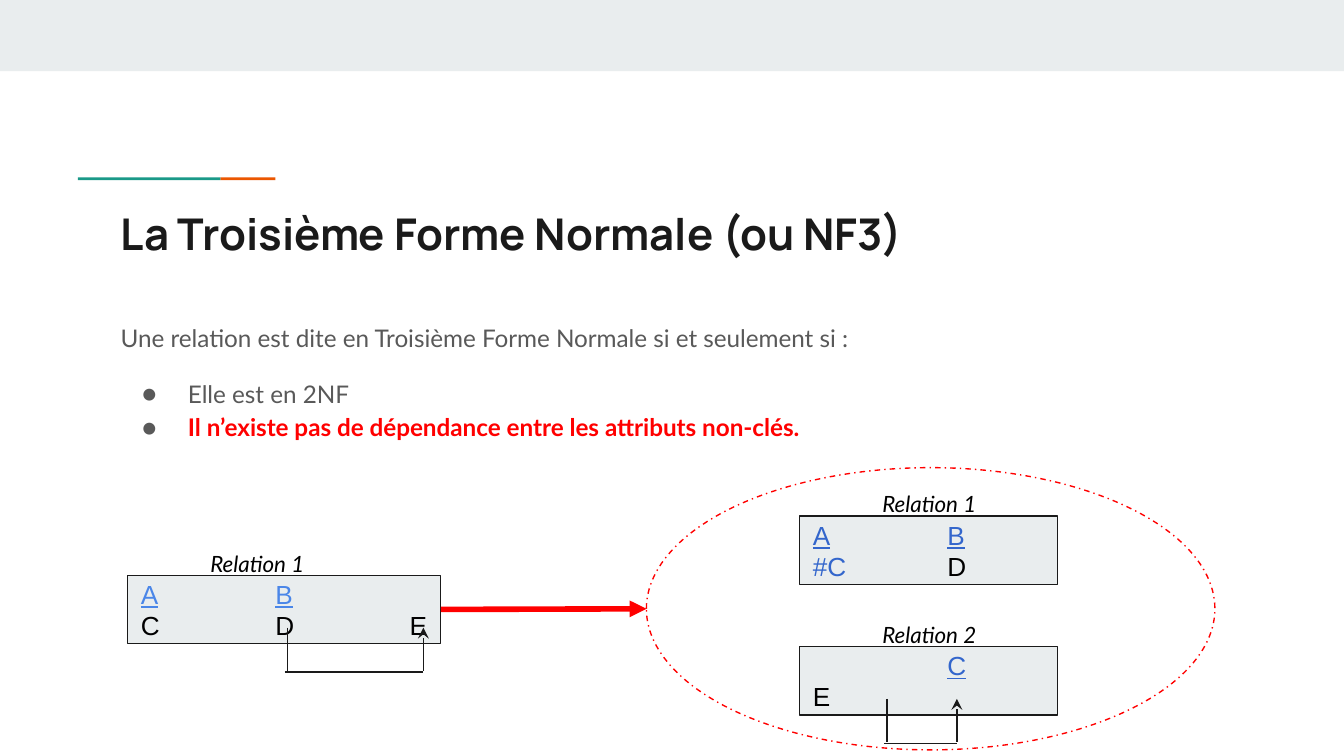
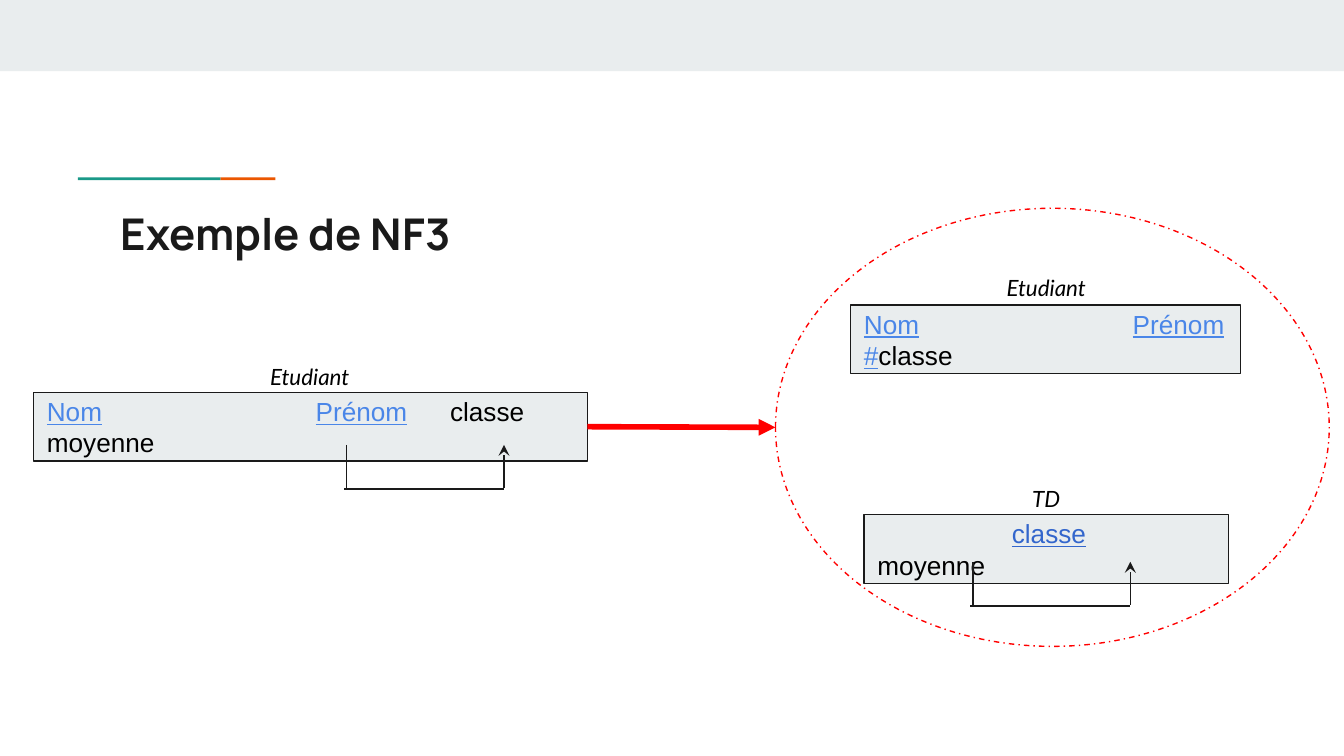
import pptx
import pptx.util
import pptx.dml.color
import pptx.enum.shapes
import pptx.enum.text
import pptx.enum.dml
from lxml import etree

Inches = pptx.util.Inches
SHAPE = pptx.enum.shapes.MSO_SHAPE
ALIGN = pptx.enum.text.PP_ALIGN
ANCHOR = pptx.enum.text.MSO_ANCHOR
A = "{http://schemas.openxmlformats.org/drawingml/2006/main}"

hues = {"band": "E9EDEE", "teal": "1A9988", "orange": "EB5600", "ink": "1A1A1A",
        "gray": "595959", "red": "FF0000", "black": "000000",
        "sky": "4A86E8", "blue": "3366CC"}
rgb = {name: pptx.dml.color.RGBColor.from_string(code) for name, code in hues.items()}

head = {"name": "Manrope", "size": 23.4, "bold": True}
body = {"name": "Lato", "size": 13}
strong = {**body, "bold": True}
label = {"name": "Lato", "size": 12, "italic": True}
plain = {"name": "Arial", "size": 14}
key = {**plain, "underline": True}


def write(shape, lines, align=ALIGN.LEFT, anchor=ANCHOR.TOP):
    frame = shape.text_frame
    format = {"word_wrap": True, "vertical_anchor": anchor}
    for side in ("left", "right", "top", "bottom"):
        format["margin_" + side] = Inches(0.1)
    for name, value in format.items():
        setattr(frame, name, value)
    for i, runs in enumerate(lines):
        para = frame.add_paragraph() if i else frame.paragraphs[0]
        para.alignment = align
        for words, hue, font in runs:
            run = para.add_run()
            run.text = words
            run.font.color.rgb = rgb[hue]
            for name, value in font.items():
                setattr(run.font, name, pptx.util.Pt(value) if name == "size" else value)
    return frame.paragraphs


def link(slide, start, end, hue="ink", width=0.75, **tips):
    line = slide.shapes.add_connector(pptx.enum.shapes.MSO_CONNECTOR.STRAIGHT,
                                      *map(Inches, start + end))
    line.line.color.rgb = rgb[hue]
    line.line.width = pptx.util.Pt(width)
    for tip, kind in tips.items():
        etree.SubElement(line.line._get_or_add_ln(), A + tip, type=kind)
    etree.SubElement(line._element.spPr, A + "effectLst")
    return line


pages = [
    {"title": "La Troisième Forme Normale (ou NF3)",
     "oval": (4.81, 3.48, 4.23, 2.1),
     "boxes": [
         (0.95, 4.28, 2.33, "Relation 1", (1.35, 3.99),
          [("A\tB", "sky", key), ("\tC\tD\tE", "black", plain)]),
         (5.95, 3.84, 1.92, "Relation 1", (6.35, 3.55),
          [("A\tB", "blue", key), ("\t", "black", plain), ("#C", "blue", plain),
           ("\tD", "black", plain)]),
         (5.95, 4.81, 1.92, "Relation 2", (6.35, 4.52),
          [("\t", "red", key), ("C", "blue", key), ("\tE\t", "black", plain)])],
     "loops": [(2.14, 3.15, 4.67), (6.6, 7.12, 5.2)]},
    {"title": "Exemple de NF3",
     "oval": (5.77, 1.55, 4.12, 3.26),
     "boxes": [
         (0.25, 2.92, 4.12, "Etudiant", (1.74, 2.6),
          [("Nom\t\tPrénom\t", "sky", key), ("classe\tmoyenne", "black", plain)]),
         (6.33, 2.27, 2.9, "Etudiant", (7.22, 1.94),
          [("Nom\t\tPrénom\t#", "sky", key), ("classe", "black", plain)]),
         (6.43, 3.83, 2.71, "TD", (7.22, 3.51),
          [("\t", "sky", key), ("classe", "blue", key), ("\tmoyenne", "black", plain)])],
     "loops": [(2.58, 3.75, 3.31), (7.24, 8.41, 4.18)]},
]
rules = [
    [("Une relation est dite en Troisième Forme Normale si et seulement si :", "gray", body)],
    [("Elle est en 2NF", "gray", body)],
    [("Il n’existe pas de dépendance entre les attributs non-clés.", "red", strong)],
]
bars = [(0, 0, 10, 0.53, "band"), (1.64, 1.32, 0.41, 0.02, "orange"),
        (0.58, 1.32, 1.06, 0.02, "teal")]

deck = pptx.Presentation()
deck.slide_width = Inches(10)
deck.slide_height = deck.slide_width * 9 // 16

for num, page in enumerate(pages):
    slide = deck.slides.add_slide(deck.slide_layouts[6])
    shapes = slide.shapes
    for *place, hue in bars:
        bar = shapes.add_shape(SHAPE.RECTANGLE, *map(Inches, place))
        bar.shadow.inherit = False
        bar.fill.solid()
        bar.fill.fore_color.rgb = rgb[hue]
        bar.line.fill.background()

    oval = shapes.add_shape(SHAPE.OVAL, *map(Inches, page["oval"]))
    oval.shadow.inherit = False
    oval.fill.background()
    oval.line.color.rgb = rgb["red"]
    oval.line.width = pptx.util.Pt(0.75)
    oval.line.dash_style = pptx.enum.dml.MSO_LINE.DASH_DOT

    title = shapes.add_textbox(*map(Inches, (0.8, 1.44, 8.41, 0.59)))
    write(title, [[(page["title"], "ink", head)]])

    if num == 0:
        text = shapes.add_textbox(*map(Inches, (0.8, 2.27, 8.41, 1.12)))
        for i, para in enumerate(write(text, rules)):
            para.line_spacing = 1.15
            if i:
                props = para._p.get_or_add_pPr()
                props.set("marL", str(Inches(0.5)))
                props.set("indent", str(Inches(-0.34)))
                tint = etree.SubElement(props, A + "buClr")
                etree.SubElement(tint, A + "srgbClr", val=hues["gray"])
                etree.SubElement(props, A + "buFont", typeface="Lato")
                etree.SubElement(props, A + "buChar", char="●")
            if i == 1:
                para.space_before = pptx.util.Pt(12)

    rects = []
    for left, top, width, name, spot, runs in page["boxes"]:
        rect = shapes.add_shape(SHAPE.RECTANGLE, *map(Inches, (left, top, width, 0.51)))
        rect.shadow.inherit = False
        rect.fill.solid()
        rect.fill.fore_color.rgb = rgb["band"]
        rect.line.color.rgb = rgb["ink"]
        rect.line.width = pptx.util.Pt(0.75)
        para = write(rect, [runs], anchor=ANCHOR.MIDDLE)[0]
        tabs = etree.SubElement(para._p.get_or_add_pPr(), A + "tabLst")
        for stop in range(1, 5):
            etree.SubElement(tabs, A + "tab", pos=str(Inches(stop)), algn="l")
        rects.append(rect)
        tag = shapes.add_textbox(*map(Inches, spot + (1.13, 0.4)))
        write(tag, [[(name, "black", label)]], ALIGN.CENTER)

    for left, right, top in page["loops"]:
        link(slide, (left, top), (left, top + 0.32))
        link(slide, (left - 0.02, top + 0.33), (right, top + 0.33))
        link(slide, (right, top), (right, top + 0.32), headEnd="stealth")

    left, top, width, height = page["oval"]
    mid = top + height / 2
    arrow = link(slide, (left - 1, mid), (left, mid), "red", 3, tailEnd="triangle")
    arrow.begin_connect(rects[0], 3)

deck.save("out.pptx")
